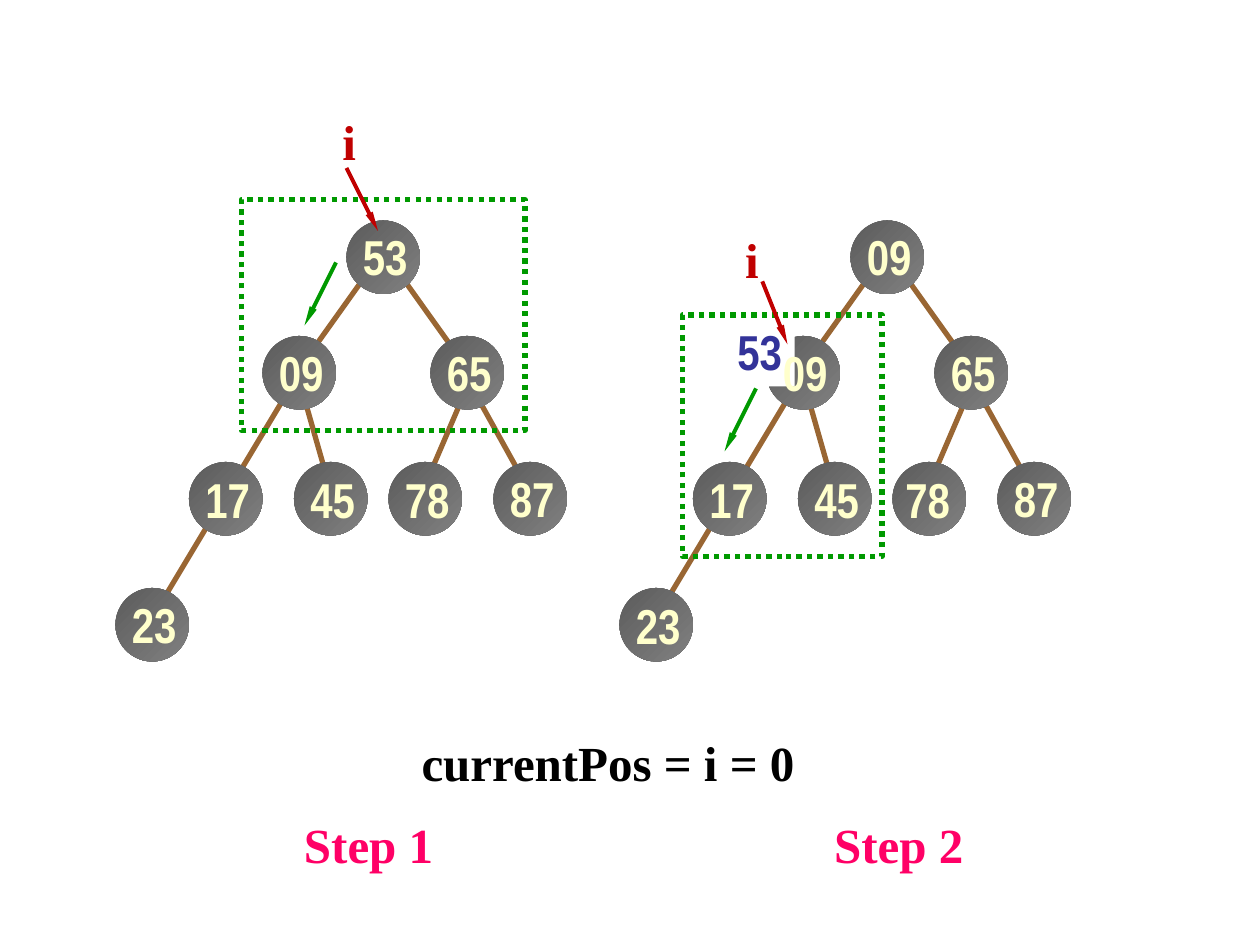
import pptx
import pptx.dml.color
import pptx.enum.dml
import pptx.enum.shapes
import pptx.enum.text
import pptx.oxml
import pptx.oxml.ns
import pptx.util

SHAPES = pptx.enum.shapes.MSO_SHAPE
GRID = 2.54 / 12  # one grid unit in centimetres
NODE_SIZE = 7
LABEL_SIZE = (6.7, 6.8)
TEXT_HEIGHT = 6.8
TREE_SHIFT = 48

GREEN, RED, BROWN, PINK = "009900", "C00000", "996633", "FF0066"
CREAM, BLUE, WHITE, BLACK = "FFFFCC", "333399", "FFFFFF", "000000"
SERIF, NARROW = "Times New Roman", "Arial Narrow"

# Node places, in grid units, with the root first
PLACES = [(33, 21), (25, 32), (41, 32), (18, 44), (28, 44), (37, 44), (47, 44), (11, 56)]
EDGES = [
    (45, 37, 50, 46), (44, 38, 41, 45), (38, 26, 43, 33),
    (29, 38, 31, 45), (35, 26, 30, 33), (27, 38, 15, 58),
]
# Label offset from its circle
USUAL_NUDGE = (0.33, 0)
LOW_NUDGE = (0.33, 0.12)
NUDGES = [USUAL_NUDGE] * 3 + [LOW_NUDGE] * 3 + [USUAL_NUDGE] * 2
STEP_1 = list(zip(["53", "09", "65", "17", "45", "78", "87", "23"], NUDGES))
STEP_2 = [("09", USUAL_NUDGE)] + STEP_1[1:5] + [("78", (0, 0.12)), STEP_1[6], ("23", LOW_NUDGE)]


def grid(*units):
    return [pptx.util.Cm(unit * GRID) for unit in units]


def color(value):
    return pptx.dml.color.RGBColor.from_string(value)


def apply(target, values):
    for name, value in values.items():
        setattr(target, name, value)


def add_line(page, ends, line_color, width, arrow=False):
    line = page.shapes.add_connector(
        pptx.enum.shapes.MSO_CONNECTOR.STRAIGHT, *grid(*ends))
    line.line.color.rgb = color(line_color)
    line.line.width = pptx.util.Pt(width)
    if arrow:
        head = pptx.oxml.parse_xml(
            '<a:tailEnd %s type="triangle" w="sm" len="lg"/>' % pptx.oxml.ns.nsdecls("a"))
        line.line._get_or_add_ln().append(head)
    line._element.spPr.append(
        pptx.oxml.parse_xml("<a:effectLst %s/>" % pptx.oxml.ns.nsdecls("a")))


def add_circle(page, left, top):
    circle = page.shapes.add_shape(SHAPES.OVAL, *grid(left, top, NODE_SIZE, NODE_SIZE))
    circle.shadow.inherit = False
    circle.line.fill.background()
    circle.fill.gradient()
    circle.fill.gradient_angle = 315
    for stop, shade in zip(circle.fill.gradient_stops, ["5C5C5C", "808080"]):
        stop.color.rgb = color(shade)


def add_frame(page, left, top, width, height):
    frame = page.shapes.add_shape(SHAPES.RECTANGLE, *grid(left, top, width, height))
    frame.shadow.inherit = False
    frame.fill.background()
    frame.line.color.rgb = color(GREEN)
    apply(frame.line, {
        "width": pptx.util.Pt(3),
        "dash_style": pptx.enum.dml.MSO_LINE.ROUND_DOT,
    })


def add_text(page, text, place, font_name, text_color, back=None):
    box = page.shapes.add_textbox(*grid(*place))
    if back:
        box.fill.solid()
        box.fill.fore_color.rgb = color(back)
    apply(box.text_frame, {
        "word_wrap": False,
        "auto_size": pptx.enum.text.MSO_AUTO_SIZE.SHAPE_TO_FIT_TEXT,
        "vertical_anchor": pptx.enum.text.MSO_ANCHOR.MIDDLE,
    })
    para = box.text_frame.paragraphs[0]
    para.alignment = pptx.enum.text.PP_ALIGN.CENTER
    span = para.add_run()
    span.text = text
    apply(span.font, {"name": font_name, "size": pptx.util.Pt(28), "bold": True})
    span.font.color.rgb = color(text_color)


def add_tree(page, shift):
    for x1, y1, x2, y2 in EDGES:
        add_line(page, (x1 + shift, y1, x2 + shift, y2), BROWN, 3)
    for left, top in PLACES:
        add_circle(page, left + shift, top)


def add_labels(page, labels, shift):
    for (text, (right, down)), (left, top) in zip(labels, PLACES):
        place = (left + shift + right, top + down, *LABEL_SIZE)
        add_text(page, text, place, NARROW, CREAM)


def main():
    deck = pptx.Presentation()
    deck.slide_width, deck.slide_height = pptx.util.Cm(25.4), pptx.util.Cm(19.05)
    page = deck.slides.add_slide(deck.slide_layouts[6])

    # Trees, then the moving value, then the node labels
    add_tree(page, 0)
    add_tree(page, TREE_SHIFT)
    add_text(page, "53", (69, 30, *LABEL_SIZE), NARROW, BLUE, back=WHITE)
    add_labels(page, STEP_1, 0)
    add_labels(page, STEP_2, TREE_SHIFT)

    # Compared nodes
    add_frame(page, 23, 19, 27, 22)
    add_frame(page, 65, 30, 19, 23)

    # Position pointers and downward moves
    for ends, arrow_color in [
        ((33, 16, 36, 22), RED), ((72.6, 26.8, 75, 32.8), RED),
        ((32, 25, 29, 31), GREEN), ((72, 37, 69, 43), GREEN),
    ]:
        add_line(page, ends, arrow_color, 2.25, arrow=True)

    # Captions
    for text, left, top, width, text_color in [
        ("i", 31.4, 10, 3.7, RED),
        ("i", 69.8, 21.3, 3.1, RED),
        ("currentPos = i = 0", 38.9, 69.2, 38, BLACK),
        ("Step 1", 27.7, 77, 14.8, PINK),
        ("Step 2", 78.2, 77, 14.8, PINK),
    ]:
        add_text(page, text, (left, top, width, TEXT_HEIGHT), SERIF, text_color)

    deck.save("out.pptx")


if __name__ == "__main__":
    main()
